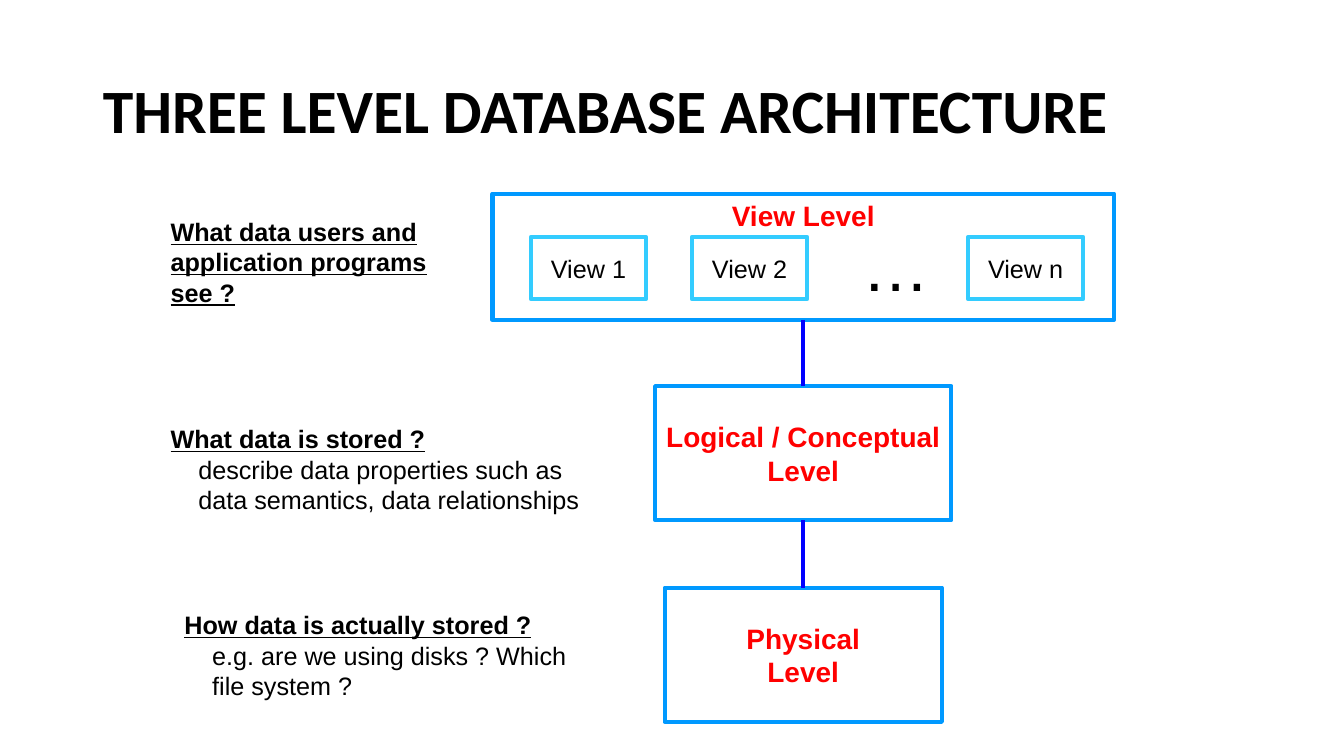
from lxml import etree
from pptx import Presentation
from pptx.dml.color import RGBColor
from pptx.enum.shapes import MSO_CONNECTOR, MSO_SHAPE
from pptx.enum.text import MSO_ANCHOR as Anchor, PP_ALIGN as Align
from pptx.oxml.ns import qn
from pptx.util import Cm, Pt

BLACK, RED = "000000", "FF0000"
LEVEL_BLUE, VIEW_BLUE, LINK_BLUE = "0099FF", "33CCFF", "0000FF"
AXIS = 20.25  # shared vertical centre line of the three levels, in cm
BOTTOM, TOP = 2, 0


def color(hex_string):
    return RGBColor.from_string(hex_string)


def format_text(paragraph, size, hex_string=BLACK, bold=False, underline=False, name="Arial"):
    for run in paragraph.runs:
        font = run.font
        font.name, font.size = name, Pt(size)
        font.bold, font.underline = bold, underline
        font.color.rgb = color(hex_string)


def add_title(slide, left, top, width, height, text):
    title = slide.shapes.title
    title.left, title.top, title.width, title.height = map(Cm, (left, top, width, height))
    frame = title.text_frame
    frame.text = text
    frame.vertical_anchor = Anchor.MIDDLE
    paragraph = frame.paragraphs[0]
    paragraph.alignment = Align.LEFT
    paragraph.line_spacing = 0.9
    format_text(paragraph, 44, bold=True, name="Calibri")


def add_box(slide, left, top, width, height, text, line, size, hex_string,
            bold=False, anchor=Anchor.MIDDLE):
    box = slide.shapes.add_shape(MSO_SHAPE.RECTANGLE, *map(Cm, (left, top, width, height)))
    box.shadow.inherit = False
    box.fill.background()
    box.line.color.rgb = color(line)
    box.line.width = Pt(3)
    frame = box.text_frame
    frame.word_wrap = False
    frame.vertical_anchor = anchor
    frame.text = text
    for paragraph in frame.paragraphs:
        paragraph.alignment = Align.CENTER
        format_text(paragraph, size, hex_string, bold)
    return box


def add_level(slide, top, width, height, text, anchor=Anchor.MIDDLE):
    """Add one level of the architecture, centred on the axis."""
    return add_box(slide, AXIS - width / 2, top, width, height, text,
                   LEVEL_BLUE, 20, RED, True, anchor)


def add_view_level(slide, top, width, height):
    level = add_level(slide, top, width, height, "View Level", Anchor.TOP)
    left = AXIS - width / 2
    for offset, name in ((0.97, "View 1"), (5.03, "View 2"), (11.99, "View n")):
        add_box(slide, left + offset, top + 1.09, 2.9, 1.57, name, VIEW_BLUE, 18, BLACK)
    ellipsis = slide.shapes.add_textbox(Cm(left + 9.07), Cm(top + 0.64), Cm(1.75), Cm(2.29))
    ellipsis.text_frame.word_wrap = True
    ellipsis.text_frame.text = "…"
    format_text(ellipsis.text_frame.paragraphs[0], 48)
    return level


def link_levels(slide, upper, lower):
    link = slide.shapes.add_connector(MSO_CONNECTOR.STRAIGHT, 0, 0, 0, 0)
    link.begin_connect(upper, BOTTOM)
    link.end_connect(lower, TOP)
    link.line.color.rgb = color(LINK_BLUE)
    link.line.width = Pt(3)
    etree.SubElement(link._element.spPr, qn("a:effectLst"))


def add_question(slide, left, top, width, height, question, *answers):
    """Add an underlined question followed by indented answer lines."""
    box = slide.shapes.add_textbox(*map(Cm, (left, top, width, height)))
    frame = box.text_frame
    frame.word_wrap = True
    frame.text = question
    format_text(frame.paragraphs[0], 18, bold=True, underline=True)
    for answer in answers:
        paragraph = frame.add_paragraph()
        paragraph.text = answer
        paragraph._p.get_or_add_pPr().set("marL", str(Cm(0.7)))
        format_text(paragraph, 18)


def main():
    presentation = Presentation()
    presentation.slide_width, presentation.slide_height = Cm(33.88), Cm(19.05)
    slide = presentation.slides.add_slide(presentation.slide_layouts[5])
    add_title(slide, 2.34, 1.02, 29.21, 3.68, "THREE LEVEL DATABASE ARCHITECTURE")

    view = add_view_level(slide, 4.88, 15.67, 3.18)
    logical = add_level(slide, 9.73, 7.47, 3.38, "Logical / Conceptual\nLevel")
    physical = add_level(slide, 14.81, 6.99, 3.38, "Physical\nLevel")
    link_levels(slide, view, logical)
    link_levels(slide, logical, physical)

    add_question(slide, 4.05, 5.33, 7.2, 2.54,
                 "What data users and application programs see ?")
    add_question(slide, 4.05, 10.55, 11, 2.54, "What data is stored ?",
                 "describe data properties such as", "data semantics, data relationships")
    add_question(slide, 4.4, 15.24, 10.5, 2.54, "How data is actually stored ?",
                 "e.g. are we using disks ? Which", "file system ?")
    presentation.save("out.pptx")


if __name__ == "__main__":
    main()
